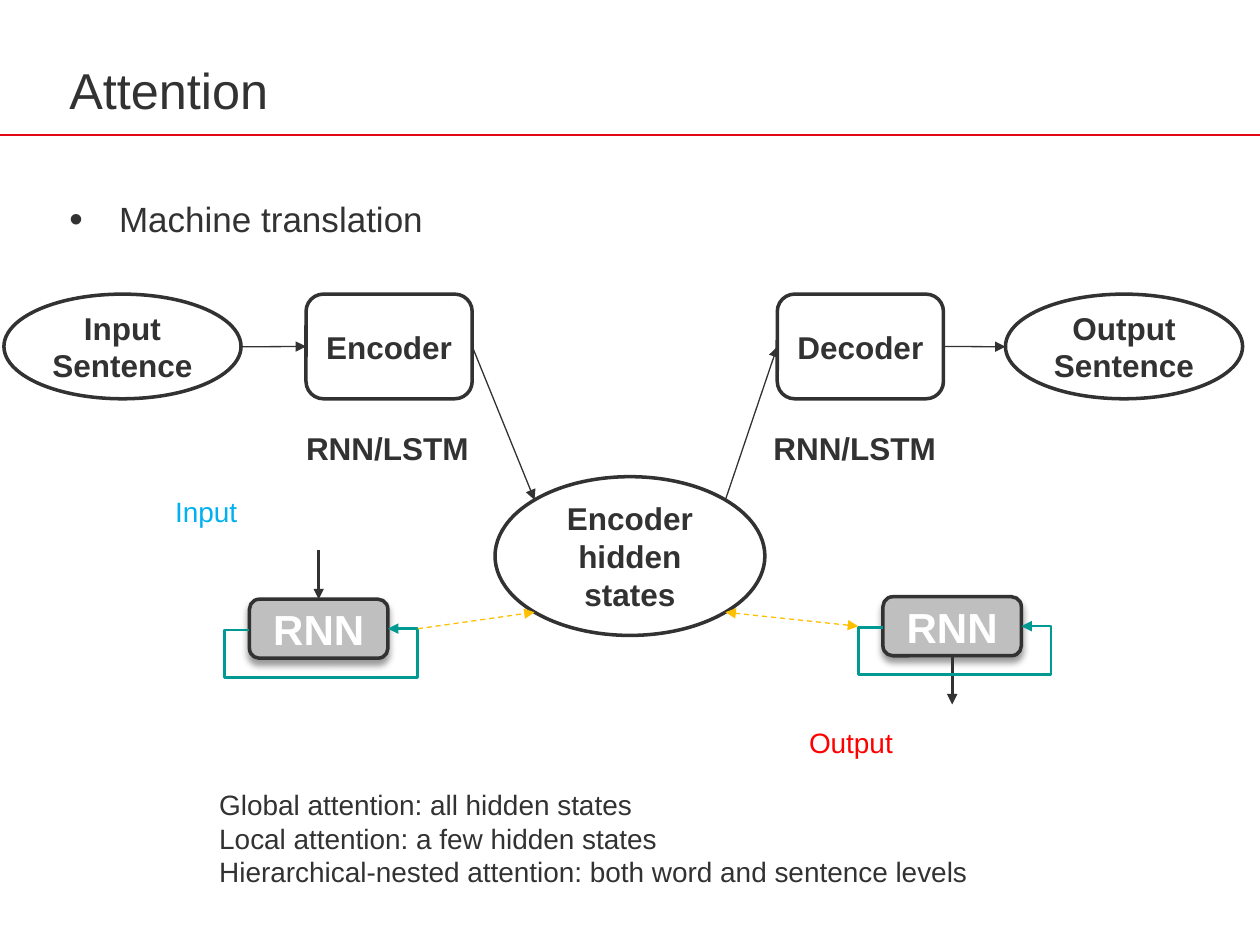
import math

import lxml.etree
import pptx
import pptx.dml.color
import pptx.enum.dml
import pptx.enum.shapes
import pptx.enum.text
import pptx.oxml
import pptx.oxml.ns
import pptx.util

Cm, Pt = pptx.util.Cm, pptx.util.Pt
KIND = pptx.enum.shapes.MSO_SHAPE
LINK = pptx.enum.shapes.MSO_CONNECTOR
MID = pptx.enum.text.MSO_ANCHOR.MIDDLE
CENTER = pptx.enum.text.PP_ALIGN.CENTER
DASH = pptx.enum.dml.MSO_LINE.DASH
DARK, GOLD, TEAL = "323232", "FFC000", "009A93"
FLUSH = dict.fromkeys(("margin_left", "margin_top", "margin_right", "margin_bottom"), 0)


def color(code):
    """Return the colour of a hex string."""
    return pptx.dml.color.RGBColor.from_string(code)


def assign(item, values):
    """Set each attribute of item from a dict."""
    for name, value in values.items():
        setattr(item, name, value)


def node(tag, **attrs):
    """Make a drawing element."""
    return lxml.etree.Element(pptx.oxml.ns.qn(f"a:{tag}"), {k: str(v) for k, v in attrs.items()})


def shade(blur, dist, angle):
    """Make an effect list with a soft black shadow."""
    return pptx.oxml.parse_xml(
        f'<a:effectLst {pptx.oxml.ns.nsdecls("a")}><a:outerShdw blurRad="{Pt(blur)}" '
        f'dist="{Pt(dist)}" dir="{angle * 60000}" algn="ctr" rotWithShape="0">'
        '<a:srgbClr val="000000"><a:alpha val="40000"/></a:srgbClr></a:outerShdw></a:effectLst>')


def write(frame, lines, size, code=DARK, bold=False, align=None, glow=False, **form):
    """Fill a text frame with one paragraph a line."""
    assign(frame, {"word_wrap": True, **form})
    for i, line in enumerate(lines):
        para = frame.paragraphs[0] if i == 0 else frame.add_paragraph()
        para.alignment = align
        run = para.add_run()
        run.text = line
        assign(run.font, {"name": "Arial", "size": Pt(size), "bold": bold})
        run.font.fill.solid()
        run.font.fill.fore_color.rgb = color(code)
        if glow:
            fill = run.font._element.find(pptx.oxml.ns.qn("a:solidFill"))
            fill.addnext(shade(4, 3, 45))


def label(slide, box, lines, size, **form):
    """Place a text box."""
    area = slide.shapes.add_textbox(*map(Cm, box))
    write(area.text_frame, lines, size, **form)
    return area


def block(slide, kind, box, text, fill="FFFFFF", size=18, code=DARK):
    """Place an outlined shape with a bold centred text."""
    shape = slide.shapes.add_shape(kind, *map(Cm, box))
    shape.shadow.inherit = False
    shape.fill.solid()
    shape.fill.fore_color.rgb = color(fill)
    shape.line.color.rgb = color(DARK)
    shape.line.width = Pt(2)
    write(shape.text_frame, [text], size, code, True, CENTER, vertical_anchor=MID)
    return shape


def link(slide, start, end, code=DARK, width=0.75, ends=("tailEnd",), kind=LINK.STRAIGHT, dash=None):
    """Draw a connector with arrowheads at the named ends."""
    line = slide.shapes.add_connector(kind, *map(Cm, (*start, *end)))
    line.line.color.rgb = color(code)
    assign(line.line, {"width": Pt(width), "dash_style": dash})
    for tag in ends:
        line.line._get_or_add_ln().append(node(tag, type="triangle"))
    line._element.spPr.append(node("effectLst"))
    return line


def head(slide, left, top, width):
    """Place the title, its rule and the bullet line."""
    link(slide, (0, top + 1.6), (25.4, top + 1.6), "E30613", 1.5, ())
    label(slide, (left, top, width, 1.35), ["Attention"], 28.8, glow=True, vertical_anchor=MID, **FLUSH)
    body = label(slide, (left, top + 2.87, width, 1.2), [], 20, **FLUSH)
    props = body.text_frame.paragraphs[0]._p.get_or_add_pPr()
    assign_ind = {"marL": Cm(1), "indent": -Cm(1)}
    for name, value in assign_ind.items():
        props.set(name, str(value))
    props.extend([node("buSzPct", val=110000), node("buFont", typeface="Arial"), node("buChar", char="•")])
    write(body.text_frame, ["Machine translation"], 20, glow=True)


def flow(slide, left, top):
    """Place the encoder and decoder chain and return the lower corners of its hub."""
    wide, tall, side, mid = 4.78, 2.11, 3.35, top + 1.06
    block(slide, KIND.OVAL, (left, top, wide, tall), "Input Sentence")
    enc, dec = [block(slide, KIND.ROUNDED_RECTANGLE, (left + x, top, side, tall), text)
                for x, text in ((6.09, "Encoder"), (15.59, "Decoder"))]
    block(slide, KIND.OVAL, (left + 20.19, top, wide, tall), "Output Sentence")
    for x in (5.84, 15.26):
        label(slide, (left + x, top + 2.59, 4.19, 1.02), ["RNN/LSTM"], 18, bold=True)
    hub = (left + 9.9, top + 3.68, 5.44, 3.2)
    block(slide, KIND.OVAL, hub, "Encoder hidden states")
    cx, cy = hub[0] + hub[2] / 2, hub[1] + hub[3] / 2
    dx, dy = hub[2] / 2 * math.sqrt(0.5), hub[3] / 2 * math.sqrt(0.5)
    spot = (left, mid)
    link(slide, (left + wide, mid), spot).end_connect(enc, 1)
    link(slide, spot, (cx - dx, cy - dy)).begin_connect(enc, 3)
    link(slide, (cx + dx, cy - dy), spot).end_connect(dec, 1)
    link(slide, spot, (left + 20.19, mid)).begin_connect(dec, 3)
    return (cx - dx, cy + dy), (cx + dx, cy + dy)


def loop(slide, start, end, reach, drop):
    """Draw a feedback arrow that runs round below a box."""
    line = link(slide, start, end, TEAL, 1.5, kind=LINK.ELBOW)
    wide, rise = end[0] - start[0], start[1] - end[1]
    geom = line._element.spPr.find(pptx.oxml.ns.qn("a:prstGeom"))
    geom.set("prst", "bentConnector5")
    for old in list(geom):
        geom.remove(old)
    guides = node("avLst")
    for i, part in enumerate((-reach / wide, -drop / rise, 1 + (reach + 0.1) / wide), 1):
        guides.append(node("gd", name=f"adj{i}", fmla=f"val {round(part * 100000)}"))
    geom.append(guides)


def cell(slide, left, top, text, code, spot, enters):
    """Place one recurrent cell with its feedback, arrow and caption."""
    wide, tall, reach = 2.79, 1.19, 0.5
    core = block(slide, KIND.ROUNDED_RECTANGLE, (left, top, wide, tall), "RNN", "BFBFBF", 24, "FFFFFF")
    props = core._element.spPr
    props.replace(props.find(pptx.oxml.ns.qn("a:effectLst")), shade(4, 3, 90))
    mid, cx = top + tall / 2, left + wide / 2
    if enters:
        link(slide, (cx, top - 1), (cx, top), width=1.5).end_connect(core, 0)
    else:
        link(slide, (cx, top + tall), (cx, top + tall + 0.98), width=1.5).begin_connect(core, 2)
    label(slide, (left + spot[0], top + spot[1], spot[2], 0.69), [text], 16,
          code=code, **{**FLUSH, "word_wrap": False})
    loop(slide, (left, mid + 0.03), (left + wide, mid), reach, 0.95)
    return (left - reach, mid), (left + wide + reach + 0.1, mid)


def notes(slide, box):
    """Place the list of attention types."""
    lines = ["Global attention: all hidden states", "Local attention: a few hidden states",
             "Hierarchical-nested attention: both word and sentence levels"]
    label(slide, box, lines, 16, **{**FLUSH, "word_wrap": False})


def main():
    """Build and save the slide."""
    deck = pptx.Presentation()
    assign(deck, {"slide_width": Cm(25.4), "slide_height": Cm(19.05)})
    slide = deck.slides.add_slide(deck.slide_layouts[6])
    head(slide, 1.4, 1.12, 22.5)
    west, east = flow(slide, 0.08, 5.93)
    right = cell(slide, 5.03, 12.08, "Input", "00B0F0", (-1.5, -2.1, 1.27), True)[1]
    left = cell(slide, 17.8, 12.03, "Output", "FF0000", (-1.49, 2.6, 1.7), False)[0]
    link(slide, east, left, GOLD, ends=("headEnd", "tailEnd"), dash=DASH)
    link(slide, right, west, GOLD, dash=DASH)
    notes(slide, (4.42, 15.88, 15.27, 2.06))
    deck.save("out.pptx")


if __name__ == "__main__":
    main()
